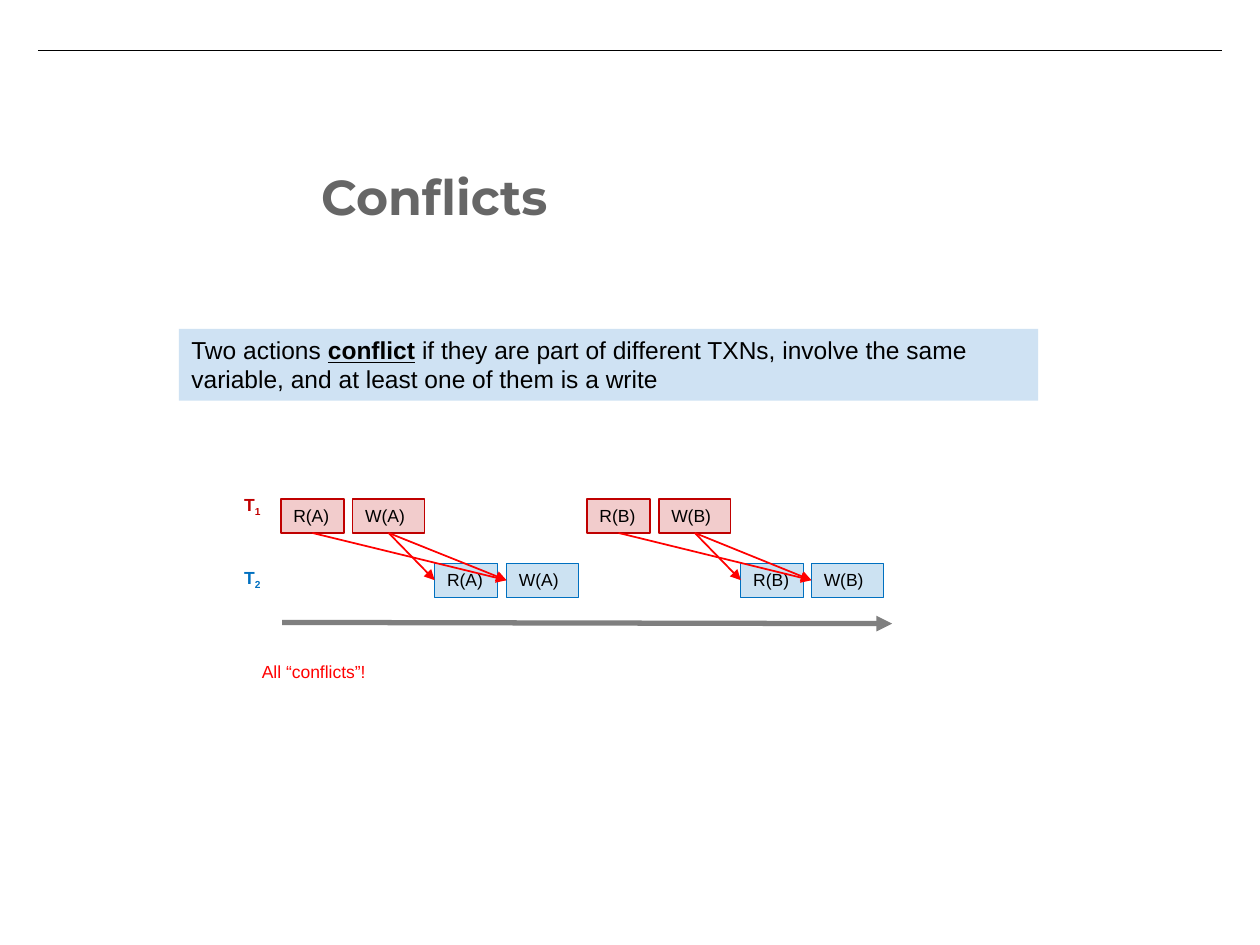
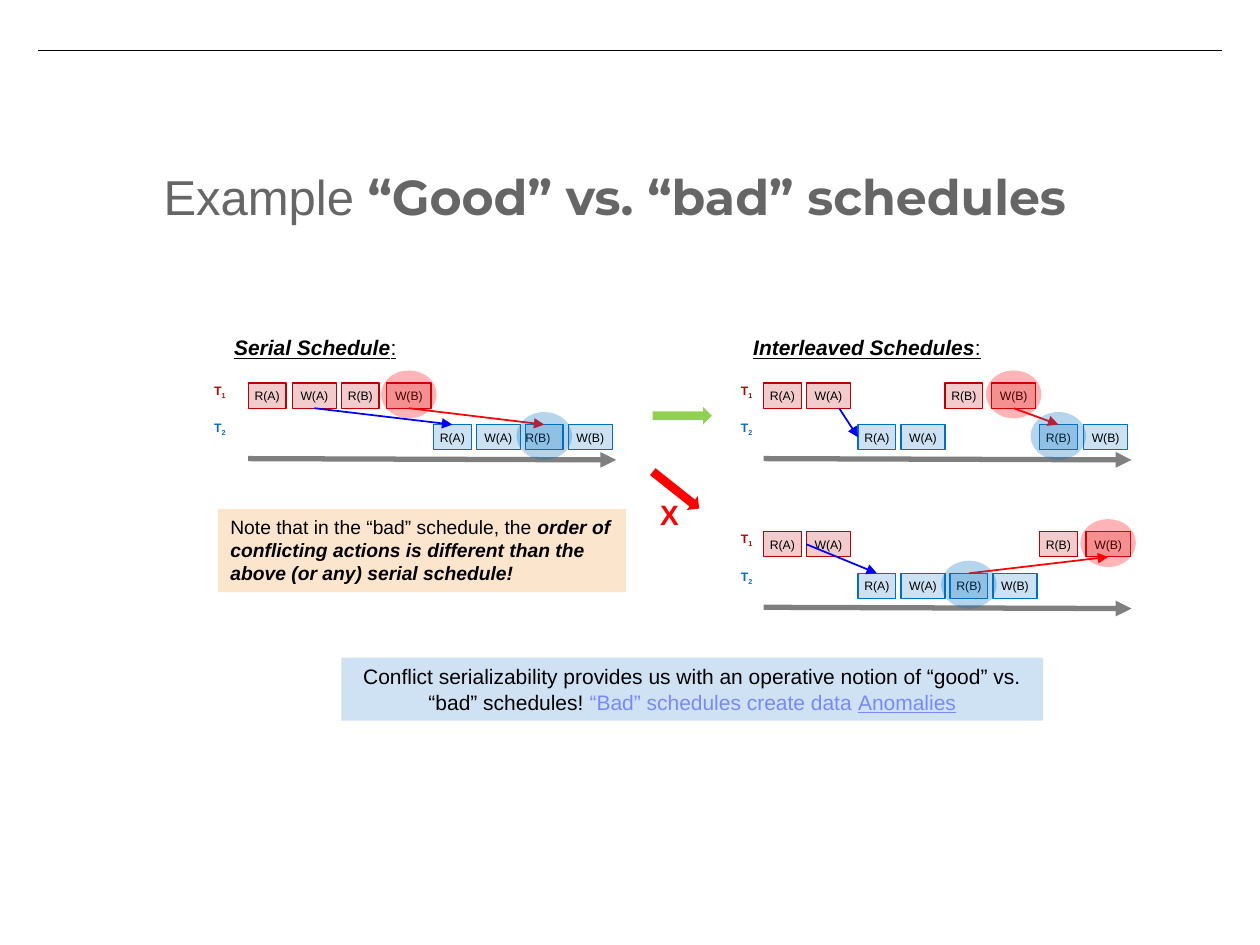
"""Build two slides on conflicting actions in transaction schedules."""
from lxml.etree import SubElement
from pptx import Presentation
from pptx.dml.color import RGBColor
from pptx.enum.shapes import MSO_CONNECTOR as Connector, MSO_SHAPE as Shape
from pptx.enum.text import MSO_ANCHOR as Anchor, PP_ALIGN as Align
from pptx.oxml.ns import qn
from pptx.util import Inches, Pt

COLORS = {
    "black": "000000", "title": "666666", "axis": "7F7F7F", "red": "FF0000",
    "blue": "0000FF", "T1": "C00000", "T2": "0070C0", "green": "92D050",
    "definition": "CFE2F3", "note": "FCE5CD", "anomaly": "7889FB",
}
TOP, LEFT, BOTTOM = 0, 1, 2
ACTIONS = ["R(A)", "W(A)", "R(B)", "W(B)"]


def add_box(parent, place, runs=(), size=12, fill=None, alpha=None, edge=None,
            kind=Shape.RECTANGLE, align=Align.LEFT, anchor=Anchor.TOP,
            inset=(0.1, 0.05), wrap=True):
    place = [Inches(value) for value in place]
    if fill:
        box = parent.shapes.add_shape(kind, *place)
        box.shadow.inherit = False
        box.fill.solid()
        box.fill.fore_color.rgb = RGBColor.from_string(COLORS[fill])
        if alpha:
            color = box.fill._xPr.find(".//" + qn("a:srgbClr"))
            SubElement(color, qn("a:alpha"), val=str(alpha * 1000))
        if edge:
            box.line.color.rgb = RGBColor.from_string(COLORS[edge])
            box.line.width = Pt(0.75)
        else:
            box.line.fill.background()
    else:
        box = parent.shapes.add_textbox(*place)
    frame = box.text_frame
    frame.word_wrap = wrap
    frame.vertical_anchor = anchor
    frame.margin_left = frame.margin_right = Inches(inset[0])
    frame.margin_top = frame.margin_bottom = Inches(inset[1])
    para = frame.paragraphs[0]
    para.alignment = align
    for text, look in runs:
        span = para.add_run()
        span.text = text
        font = span.font
        font.size = Pt(size)
        font.name = look.get("font", "Arial")
        font.color.rgb = RGBColor.from_string(COLORS[look.get("color", "black")])
        font.bold = look.get("bold", False)
        font.italic = look.get("italic", False)
        font.underline = look.get("underline", False)
        if "baseline" in look:
            font._element.set("baseline", str(look["baseline"]))
    return box


def add_line(parent, ends, color, width, arrow=True):
    line = parent.shapes.add_connector(Connector.STRAIGHT, *[Inches(value) for value in ends])
    line.line.color.rgb = RGBColor.from_string(COLORS[color])
    line.line.width = Pt(width)
    if arrow:
        SubElement(line.line._get_or_add_ln(), qn("a:tailEnd"), type="triangle")
    SubElement(line._element.spPr, qn("a:effectLst"))
    return line


deck = Presentation()
deck.slide_width, deck.slide_height = Inches(10), Inches(7.5)

heading = {"font": "Montserrat", "color": "title", "bold": True}
titles = [
    ((2.45, 1.22, 7.31, 1.27), [("Conflicts", heading)]),
    ((1.2, 1.22, 8.29, 1.29), [("Example ", {"color": "title"}),
                               ("“Good” vs. “bad” schedules", heading)]),
]
pages = []
for place, runs in titles:
    page = deck.slides.add_slide(deck.slide_layouts[6])
    add_line(page, (0.3, 0.4, 9.7, 0.4), "black", 0.75, arrow=False)
    add_box(page, place, runs, 28, inset=(0.1, 0.1))
    pages.append(page)
conflict_page, example_page = pages

add_box(conflict_page, (1.42, 2.61, 6.82, 0.57), [
    ("Two actions ", {}),
    ("conflict", {"bold": True, "underline": True}),
    (" if they are part of different TXNs, involve the same variable, "
     "and at least one of them is a write", {}),
], 14, "definition")
add_box(example_page, (2.71, 5.22, 5.57, 0.5), [
    ("Conflict serializability provides us with an operative notion of "
     "“good” vs. “bad” schedules! ", {}),
    ("“Bad” schedules create data ", {"color": "anomaly"}),
    ("Anomalies", {"color": "anomaly", "underline": True}),
], 12, "definition", align=Align.CENTER)
for name, left, width in [("Serial Schedule", 1.76, 1.5), ("Interleaved Schedules", 5.88, 2.03)]:
    add_box(example_page, (left, 2.61, width, 0.3), [
        (name, {"bold": True, "italic": True, "underline": True}),
        (":", {"underline": True}),
    ], wrap=False)

large = {
    "widths": {"R": 0.5, "W": 0.57}, "height": 0.27, "rows": (0, 0.51),
    "labels": (-0.09, 0.49), "label_size": (0.34, 0.27), "label_gap": 0.4,
    "axis": (0.98, 4.84),
    "text": {"size": 10},
}
small = {
    "widths": {"R": 0.3, "W": 0.35}, "height": 0.2, "rows": (0, 0.33),
    "labels": (-0.03, 0.27), "label_size": (0.27, 0.19), "label_gap": 0.27,
    "axis": (0.6, 2.92),
    "text": {"size": 7, "anchor": Anchor.MIDDLE, "inset": (0, 0.05)},
}
schedules = [
    ("conflicts", conflict_page, large, 2.24, 3.96, Align.LEFT, Align.LEFT,
     {"T1": (2.23, 2.8, 4.66, 5.23), "T2": (3.45, 4.02, 5.88, 6.44)}),
    ("serial", example_page, small, 1.97, 3.04, Align.LEFT, Align.CENTER,
     {"T1": (1.97, 2.32, 2.71, 3.07), "T2": (3.44, 3.78, 4.17, 4.51)}),
    ("good", example_page, small, 6.06, 3.04, Align.CENTER, Align.CENTER,
     {"T1": (6.06, 6.4, 7.5, 7.87), "T2": (6.81, 7.15, 8.25, 8.6)}),
    ("bad", example_page, small, 6.06, 4.22, Align.CENTER, Align.CENTER,
     {"T1": (6.06, 6.4, 8.25, 8.62), "T2": (6.81, 7.15, 7.54, 7.88)}),
]
boxes = {}
for name, page, style, left, top, label_align, action_align, lanes in schedules:
    group = page.shapes.add_group_shape()
    drop, length = style["axis"]
    add_line(group, (left, top + drop, left + length, top + drop + 0.01), "axis", 3)
    for (lane, lefts), row, label in zip(lanes.items(), style["rows"], style["labels"]):
        look = {"color": lane, "bold": True}
        add_box(group, (left - style["label_gap"], top + label, *style["label_size"]),
                [(lane[0], look), (lane[1], {**look, "baseline": -25000})],
                align=label_align, wrap=False, **style["text"])
        for action, action_left in zip(ACTIONS, lefts):
            place = (action_left, top + row, style["widths"][action[0]], style["height"])
            boxes[name, lane, action] = add_box(
                group, place, [(action, {})], fill=lane, alpha=20, edge=lane,
                align=action_align, **style["text"])
boxes["serial", "T2", "R(B)"].text_frame.paragraphs[0].alignment = Align.LEFT

add_box(conflict_page, (1.98, 5.2, 1.03, 0.27), [("All “conflicts”!", {"color": "red"})],
        10, wrap=False)
add_box(example_page, (5.18, 3.23, 0.47, 0.14), fill="green", kind=Shape.RIGHT_ARROW)
bad_arrow = add_box(example_page, (5.13, 3.82, 0.47, 0.14), fill="red", kind=Shape.RIGHT_ARROW)
bad_arrow.rotation = 38.5
add_box(example_page, (5.14, 3.9, 0.35, 0.37), [("X", {"color": "red", "bold": True})],
        16, wrap=False)
add_box(example_page, (1.73, 4.04, 3.24, 0.66), [
    ("Note that in the “bad” schedule, the ", {}),
    ("order of conflicting actions is different than the above (or any) serial schedule!",
     {"bold": True, "italic": True}),
], 11, "note")

links = []
for item in "AB":
    for first, second in ["WR", "RW", "WW"]:
        links.append((conflict_page, "red", ("conflicts", "T1", f"{first}({item})"), BOTTOM,
                      ("conflicts", "T2", f"{second}({item})"), LEFT))
links += [
    (example_page, "red", ("bad", "T2", "R(B)"), TOP, ("bad", "T1", "W(B)"), BOTTOM),
    (example_page, "red", ("good", "T1", "W(B)"), BOTTOM, ("good", "T2", "R(B)"), TOP),
    (example_page, "red", ("serial", "T1", "W(B)"), BOTTOM, ("serial", "T2", "R(B)"), TOP),
    (example_page, "blue", ("serial", "T1", "W(A)"), BOTTOM, ("serial", "T2", "R(A)"), TOP),
    (example_page, "blue", ("bad", "T1", "W(A)"), LEFT, ("bad", "T2", "R(A)"), TOP),
]
for page, color, start, start_side, end, end_side in links:
    arrow = add_line(page, (0, 0, 1, 1), color, 1)
    arrow.begin_connect(boxes[start], start_side)
    arrow.end_connect(boxes[end], end_side)
good_arrow = add_line(example_page, (6.66, 3.24, 6.81, 3.47), "blue", 1)
good_arrow.end_connect(boxes["good", "T2", "R(A)"], LEFT)

for lane, action, color in [("T1", "W(B)", "red"), ("T2", "R(B)", "T2")]:
    for name in ["serial", "good", "bad"]:
        box = boxes[name, lane, action]
        center_x = (box.left + box.width / 2) / Inches(1)
        center_y = (box.top + box.height / 2) / Inches(1)
        add_box(example_page, (center_x - 0.22, center_y - 0.2, 0.44, 0.38),
                fill=color, alpha=29, kind=Shape.OVAL)

deck.save("out.pptx")
